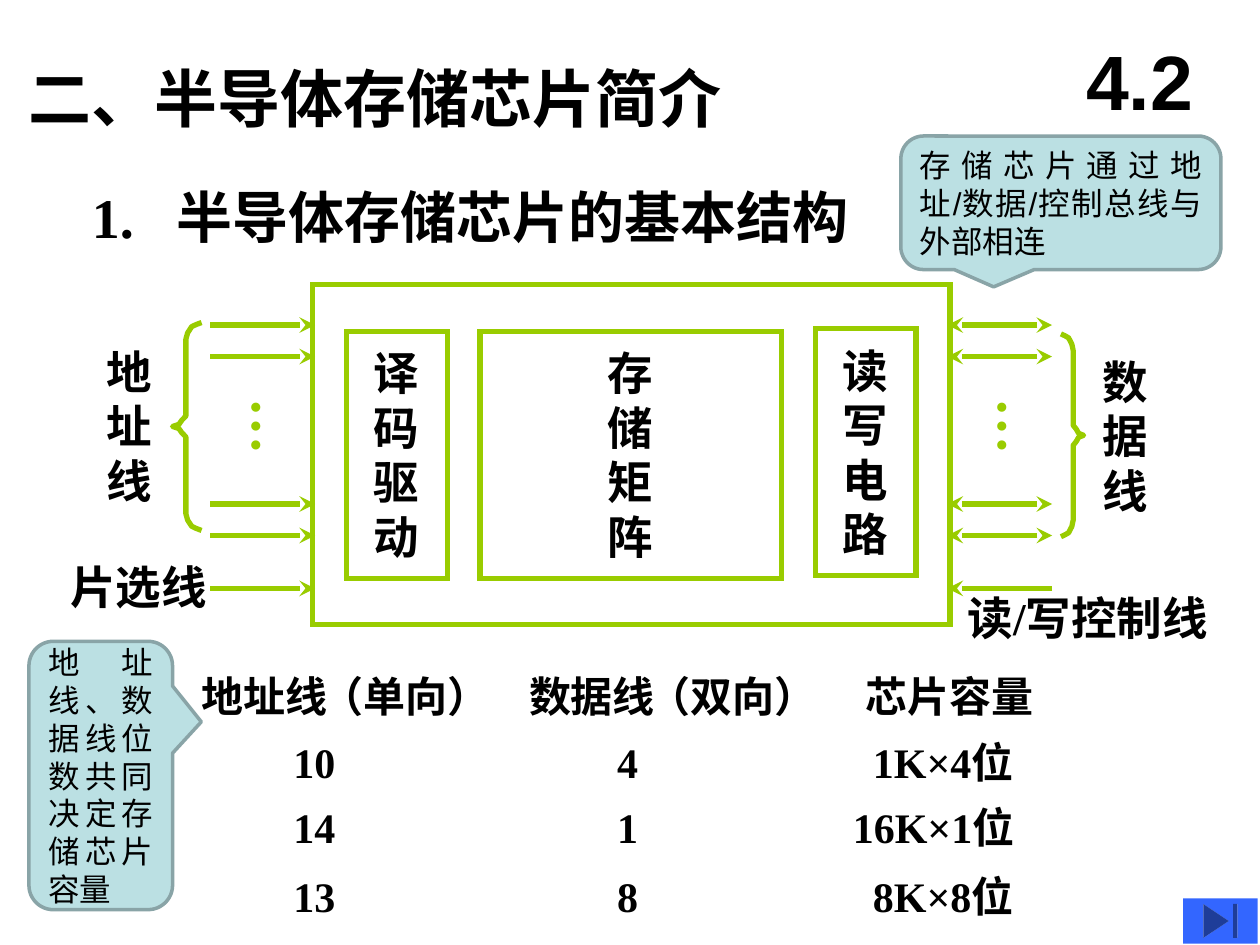
import pptx
import pptx.util
import pptx.dml.color
import pptx.enum.shapes
import pptx.enum.text
import pptx.oxml.ns
from lxml import etree

Inches = pptx.util.Inches
KIND = pptx.enum.shapes.MSO_SHAPE
ALIGN = pptx.enum.text.PP_ALIGN
MIDDLE = pptx.enum.text.MSO_ANCHOR.MIDDLE
qn = pptx.oxml.ns.qn

# Theme
THEME = {
    "serif": "Times New Roman", "sans": "Arial",
    "ink": "000000", "green": "99CC00", "pale": "BBE0E3", "edge": "89A4A7", "blue": "3366FF",
    "title": 44, "head": 36, "sub": 32, "label": 26, "cell": 24, "note": 18,
    "thick": 3, "thin": 2,
}

# Content: boxes are left, top, width, height
TITLE = ("4.2", (8.42, 0.17, 1.25, 0.92))
HEAD = ("二、半导体存储芯片简介", (0.13, 0.42, 5.8, 0.7))
SUB = ("1.\t半导体存储芯片的基本结构", (0.63, 1.4, 6.29, 0.64))
CHIP = (2.48, 2.26, 5.06, 2.7)
BLOCKS = [
    ("译码驱动", (2.75, 2.63, 0.8, 1.96)),
    ("存储矩阵", (3.81, 2.63, 2.39, 1.96)),
    ("读写电路", (6.47, 2.61, 0.8, 1.96)),
]
BUSES = [("地址线", (0.75, 2.68, 0.56, 1.4)), ("数据线", (8.65, 2.76, 0.56, 1.4))]
LINES = [("片选线", (0.46, 4.39, 1.36, 0.54)), ("读/写控制线", (7.58, 4.63, 2.32, 0.54))]
DOTS = [1.77, 7.69]
WIRES = [2.58, 2.83, 4, 4.25]
SELECT = 4.67
LEFT, RIGHT = (1.67, 2.5), (8.35, 7.52)
# Braces: open end, tip, top, height
BRACES = [(1.6, 1.37, 2.56, 1.65), (8.42, 8.6, 2.65, 1.61)]
CURVE = [(0, 0), (0.19, 0.01), (0.34, 0.02), (0.48, 0.05), (0.54, 0.08),
         (0.54, 0.42), (0.54, 0.45), (0.68, 0.47), (0.78, 0.49), (1, 0.5)]
# Summary: words, left, width
HEADS = [("地址线", 1.5, 2), ("（单向）", 2.45, 1.53), ("数据线", 4.1, 1.99),
         ("（双向）", 5.05, 1.95), ("芯片容量", 6.77, 2.57)]
COLS = [(2.23, 0.53), (4.8, 0.36)]
ROWS = [
    (5.8, "10", "4", "1K×4位", 6.83),
    (6.31, "14", "1", "16K×1位", 6.67),
    (6.86, "13", "8", "8K×8位", 6.83),
]
NOTES = [
    ("存储芯片通过地址/数据/控制总线与外部相连", (7.15, 1.08, 2.54, 1.06), (-0.21, 0.63, 0.17)),
    ("地址线、数据线位数共同决定存储芯片容量", (0.23, 5.09, 1.14, 2.13), (0.7, -0.2, 0.17)),
]
BUTTON = (9.39, 7.13, 0.59, 0.36)

prs = pptx.Presentation()
prs.slide_width, prs.slide_height = Inches(10), Inches(7.5)
slide = prs.slides.add_slide(prs.slide_layouts[5])
shapes = slide.shapes


def color(name):
    return pptx.dml.color.RGBColor.from_string(THEME[name])


def place(box):
    return [Inches(n) for n in box]


def write(frame, lines, size, face="serif", ink="ink", bold=True, align=ALIGN.LEFT):
    for i, line in enumerate(lines):
        para = frame.paragraphs[0] if i == 0 else frame.add_paragraph()
        para.alignment = align
        run = para.add_run()
        run.text = line
        font = run.font
        font.name, font.size, font.bold = THEME[face], pptx.util.Pt(THEME[size]), bold
        font.color.rgb = color(ink)


def label(lines, box, size, wrap=False, ink="ink"):
    frame = shapes.add_textbox(*place(box)).text_frame
    frame.word_wrap = wrap
    write(frame, lines, size, ink=ink)
    return frame


def paint(shape, fill=None, line=None, width="thick"):
    shape.shadow.inherit = False
    if fill:
        shape.fill.solid()
        shape.fill.fore_color.rgb = color(fill)
    else:
        shape.fill.background()
    if line:
        shape.line.color.rgb = color(line)
        shape.line.width = pptx.util.Pt(THEME[width])
    else:
        shape.line.fill.background()


def frame_box(box):
    shape = shapes.add_shape(KIND.RECTANGLE, *place(box))
    paint(shape, line="green")
    etree.SubElement(shape.line._get_or_add_ln(), qn("a:miter"), lim="800000")


def arrow(ends, y, both=False):
    wire = shapes.add_connector(pptx.enum.shapes.MSO_CONNECTOR.STRAIGHT,
                                *place((ends[0], y, ends[1], y)))
    wire.line.color.rgb = color("green")
    wire.line.width = pptx.util.Pt(THEME["thick"])
    line = wire.line._get_or_add_ln()
    for tag in ("a:headEnd", "a:tailEnd") if both else ("a:tailEnd",):
        etree.SubElement(line, qn(tag), type="stealth")
    etree.SubElement(wire._element.spPr, qn("a:effectLst"))


def brace(start, tip, top, tall):
    half = CURVE + [(x, 1 - y) for x, y in CURVE[-2::-1]]
    points = [(Inches(start + x * (tip - start)), Inches(top + y * tall)) for x, y in half]
    pen = shapes.build_freeform(*points[0])
    pen.add_line_segments(points[1:], close=False)
    paint(pen.convert_to_shape(), line="green")


# Title and headings
title = shapes.title
title.left, title.top, title.width, title.height = place(TITLE[1])
title.text_frame.vertical_anchor = MIDDLE
write(title.text_frame, [TITLE[0]], "title", "sans", align=ALIGN.CENTER)
label([HEAD[0]], HEAD[1], "head", True)
sub = label([SUB[0]], SUB[1], "sub", True)
props = sub.paragraphs[0]._p.get_or_add_pPr()
props.set("marL", str(Inches(0.67)))
props.set("indent", str(-Inches(0.67)))

# Chip and its blocks
frame_box(CHIP)
for words, box in BLOCKS:
    frame_box(box)
    left, top, wide, tall = box
    label(list(words), (left + wide / 2 - 0.28, top + 0.06, 0.56, 1.84), "label")

# Buses, wires and braces
for words, box in BUSES:
    label(list(words), box, "label")
for words, box in LINES:
    label([words], box, "label")
for y in WIRES:
    arrow(LEFT, y)
    arrow(RIGHT, y, True)
for ends in (LEFT, RIGHT):
    arrow(ends, SELECT)
for item in BRACES:
    brace(*item)
for x in DOTS:
    dots = label(["…"], (x, 3.06, 0.73, 0.55), "sub", ink="green")
    dots.margin_left = dots.margin_right = Inches(0.05)
    dots.margin_top = dots.margin_bottom = Inches(0.1)
    dots._txBody.bodyPr.set("vert", "eaVert")
    dots.paragraphs[0].runs[0]._r.get_or_add_rPr().set("lang", "zh-CN")

# Summary grid
for words, x, wide in HEADS:
    label([words], (x, 5.27, wide, 0.5), "cell", True)
for y, *cells, size, x in ROWS:
    for words, (left, wide) in zip(cells, COLS):
        label([words], (left, y, wide, 0.5), "cell")
    label([size], (x, y, 2.1, 0.5), "cell", True)

# Button and callouts
paint(shapes.add_shape(KIND.ACTION_BUTTON_END, *place(BUTTON)), fill="blue")
for words, box, adjust in NOTES:
    note = shapes.add_shape(KIND.ROUNDED_RECTANGULAR_CALLOUT, *place(box))
    for i, value in enumerate(adjust):
        note.adjustments[i] = value
    paint(note, "pale", "edge", "thin")
    note.text_frame.word_wrap = True
    note.text_frame.vertical_anchor = MIDDLE
    write(note.text_frame, [words], "note", "sans", bold=False, align=ALIGN.JUSTIFY)
    # Keep punctuation inside the callout
    note.text_frame.paragraphs[0]._p.get_or_add_pPr().set("hangingPunct", "0")

prs.save("out.pptx")
